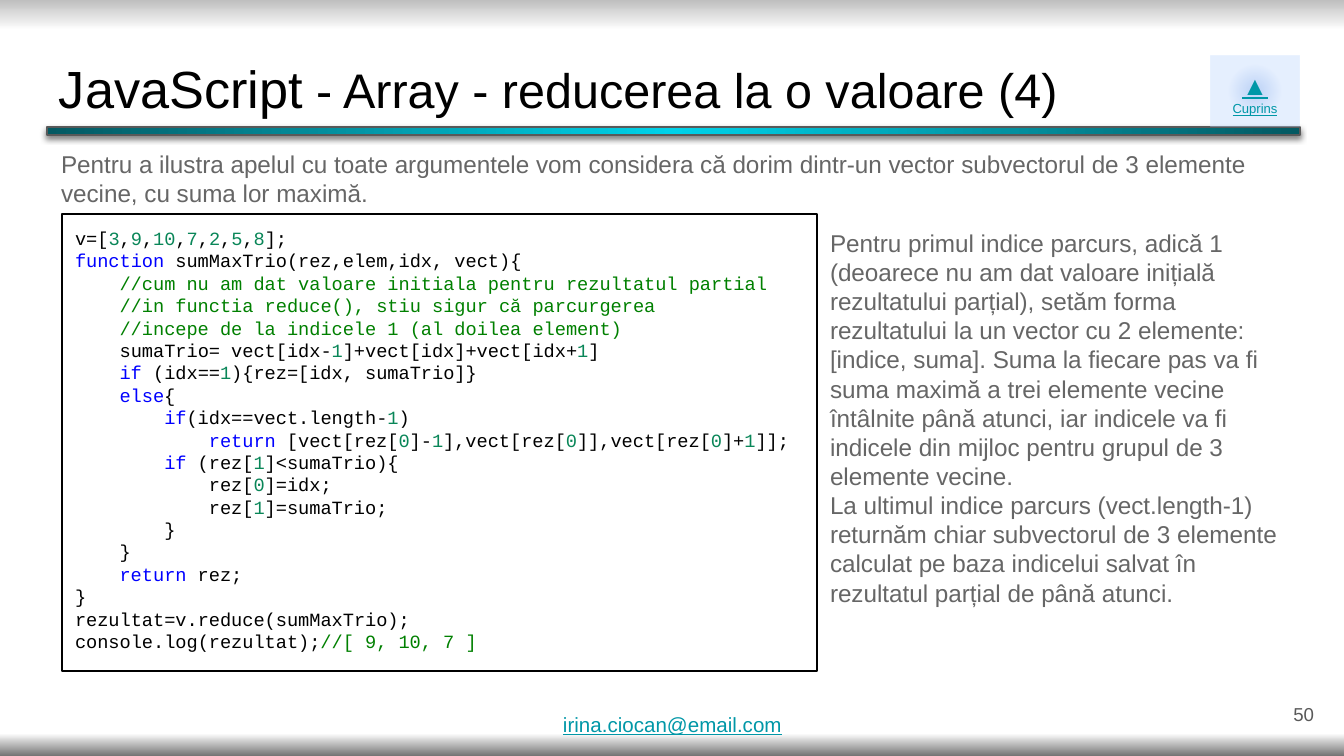
"""Builds the slide on reducing a JavaScript array to a single value."""
import itertools

import lxml.etree
import pptx
import pptx.dml.color
import pptx.enum.shapes
import pptx.enum.text
import pptx.oxml
import pptx.oxml.ns
import pptx.util

TITLE = [("JavaScript", 28), (" - Array - reducerea la o valoare (4)", 26)]
INTRO = ["Pentru a ilustra apelul cu toate argumentele vom considera că dorim dintr-un vector "
         "subvectorul de 3 elemente vecine, cu suma lor maximă."]
CODE = """v=[3,9,10,7,2,5,8];
function sumMaxTrio(rez,elem,idx, vect){
    //cum nu am dat valoare initiala pentru rezultatul partial
    //in functia reduce(), stiu sigur că parcurgerea
    //incepe de la indicele 1 (al doilea element)
    sumaTrio= vect[idx-1]+vect[idx]+vect[idx+1]
    if (idx==1){rez=[idx, sumaTrio]}
    else{
        if(idx==vect.length-1)
            return [vect[rez[0]-1],vect[rez[0]],vect[rez[0]+1]];
        if (rez[1]<sumaTrio){
            rez[0]=idx;
            rez[1]=sumaTrio;
        }
    }
    return rez;
}
rezultat=v.reduce(sumMaxTrio);
console.log(rezultat);//[ 9, 10, 7 ]""".splitlines()
EXPLANATION = [
    "Pentru primul indice parcurs, adică 1 (deoarece nu am dat valoare inițială rezultatului "
    "parțial), setăm forma rezultatului la un vector cu 2 elemente: [indice, suma]. Suma la "
    "fiecare pas va fi suma maximă a trei elemente vecine întâlnite până atunci, iar indicele "
    "va fi indicele din mijloc pentru grupul de 3 elemente vecine.",
    "La ultimul indice parcurs (vect.length-1) returnăm chiar subvectorul de 3 elemente "
    "calculat pe baza indicelui salvat în rezultatul parțial de până atunci.",
]
CONTENTS_LINK = ["▲", "Cuprins"]
EMAIL = ["irina.ciocan@email.com"]
PAGE = ["50"]

BLACK, GREY, TEAL = "000000", "666666", "0097A7"
KEYWORD, NUMBER, COMMENT = "0000FF", "098658", "008000"
KEYWORDS = {"function", "if", "else", "return"}
BACKGROUND_STOPS = [(0, "BFBFBF", 100), (4, "FFFFFF", 100), (97, "FFFFFF", 100), (100, "737373", 100)]
RULE_STOPS = [(0, "00D2E9", 100), (100, "045962", 100)]
BUTTON_STOPS = [(0, "BCD6FF", 37), (0, "4A86E8", 37), (48, "BCD6FF", 37), (100, "BCD6FF", 37)]
LINEAR = '<a:lin ang="5400000" scaled="0"/>'
RADIAL = '<a:path path="circle"><a:fillToRect l="50000" t="50000" r="50000" b="50000"/></a:path>'
NS = pptx.oxml.ns.nsdecls("a")
ALIGN = pptx.enum.text.PP_ALIGN
ANCHOR = pptx.enum.text.MSO_ANCHOR


def px(length):
    return round(length * 914400 / 134.4)


def color(hex_string):
    return pptx.dml.color.RGBColor.from_string(hex_string)


def set_gradient(fill, properties, stops, direction):
    fill.gradient()
    stop_xml = "".join(
        f'<a:gs pos="{pos * 1000}"><a:srgbClr val="{tone}"><a:alpha val="{alpha * 1000}"/></a:srgbClr></a:gs>'
        for pos, tone, alpha in stops)
    properties.replace(
        properties.find(pptx.oxml.ns.qn("a:gradFill")),
        pptx.oxml.parse_xml(f'<a:gradFill {NS} rotWithShape="1"><a:gsLst>{stop_xml}</a:gsLst>{direction}</a:gradFill>'))


def place(shape, left, top, width, height):
    shape.left, shape.top, shape.width, shape.height = map(px, (left, top, width, height))


def prepare(shape, anchor=ANCHOR.TOP, inset=13):
    frame = shape.text_frame
    frame.word_wrap = True
    frame.auto_size = pptx.enum.text.MSO_AUTO_SIZE.NONE
    frame.vertical_anchor = anchor
    frame.margin_left = frame.margin_right = px(13)
    frame.margin_top = frame.margin_bottom = px(inset)
    return frame


def style(paragraph, size, tone, font="Arial", align=ALIGN.LEFT, underline=None):
    paragraph.alignment = align
    paragraph.space_before = paragraph.space_after = pptx.util.Pt(0)
    paragraph.font.name = font
    paragraph.font.size = pptx.util.Pt(size)
    paragraph.font.underline = underline
    if tone:
        paragraph.font.color.rgb = color(tone)


def write(frame, texts, sizes, tone, **options):
    frame.text = "\n".join(texts)
    for paragraph, size in zip(frame.paragraphs, itertools.cycle(sizes)):
        style(paragraph, size, tone, **options)


def token_color(token):
    return KEYWORD if token in KEYWORDS else NUMBER if token.isdigit() else BLACK


def highlight(line):
    code, slashes, remark = line.partition("//")
    tokens = ["".join(chars) for _, chars in itertools.groupby(code, str.isalnum)]
    for tone, group in itertools.groupby(tokens, token_color):
        yield "".join(group), tone
    if slashes:
        yield slashes + remark, COMMENT


def add_rectangle(shapes, *box):
    shape = shapes.add_shape(pptx.enum.shapes.MSO_SHAPE.RECTANGLE, *map(px, box))
    shape.shadow.inherit = False
    return shape


def add_note(shapes, box, texts, size, tone, anchor=ANCHOR.TOP, inset=13, **options):
    note = shapes.add_textbox(*map(px, box))
    write(prepare(note, anchor, inset), texts, [size], tone, **options)


def main():
    deck = pptx.Presentation()
    deck.slide_width, deck.slide_height = px(1344), px(756)
    slide = deck.slides.add_slide(deck.slide_layouts[1])
    shapes = slide.shapes
    background = slide.background.fill
    background.gradient()
    set_gradient(background, slide.element.cSld.bg.bgPr, BACKGROUND_STOPS, LINEAR)

    title = shapes.title
    place(title, 46, 43, 1253, 85)
    heading = prepare(title).paragraphs[0]
    for text, size in TITLE:
        run = heading.add_run()
        run.text = text
        run.font.size = pptx.util.Pt(size)
    style(heading, TITLE[0][1], BLACK)

    rule = add_rectangle(shapes, 47, 127, 1253, 8)
    set_gradient(rule.fill, rule.element.spPr, RULE_STOPS, RADIAL)
    rule.line.color.rgb = color("595959")
    rule.line.width = pptx.util.Pt(0.75)
    effects = rule.element.spPr.find(pptx.oxml.ns.qn("a:effectLst"))
    effects.append(lxml.etree.fromstring(
        f'<a:outerShdw {NS} blurRad="43180" dist="19050" dir="5400000" algn="bl" rotWithShape="0">'
        '<a:srgbClr val="000000"><a:alpha val="50000"/></a:srgbClr></a:outerShdw>'))

    button = add_rectangle(shapes, 1211, 56, 88, 71)
    set_gradient(button.fill, button.element.spPr, BUTTON_STOPS, RADIAL)
    button.line.fill.background()
    write(prepare(button), CONTENTS_LINK, [14, 7], TEAL, align=ALIGN.CENTER, underline=True)

    intro = slide.placeholders[1]
    place(intro, 48, 136, 1253, 71)
    write(prepare(intro), INTRO, [13], GREY)
    intro_properties = intro.text_frame.paragraphs[0]._p.get_or_add_pPr()
    intro_properties.set("marL", "0")
    intro_properties.set("indent", "0")
    intro_properties.insert_element_before(pptx.oxml.parse_xml(f"<a:buNone {NS}/>"), "a:tabLst", "a:defRPr")

    listing = add_rectangle(shapes, 62, 214, 755, 457)
    listing.fill.background()
    listing.line.color.rgb = color(BLACK)
    listing.line.width = pptx.util.Pt(0.75)
    frame = prepare(listing)
    write(frame, [""] * len(CODE), [10], None, font="Courier New")
    for paragraph, line in zip(frame.paragraphs, CODE):
        paragraph.line_spacing = pptx.util.Pt(12)
        for text, tone in highlight(line):
            run = paragraph.add_run()
            run.text = text
            run.font.color.rgb = color(tone)

    add_note(shapes, (817, 215, 484, 457), EXPLANATION, 13, GREY)
    add_note(shapes, (550, 712, 247, 36), EMAIL, 11, TEAL, inset=0, underline=True)
    add_note(shapes, (1246, 685, 81, 58), PAGE, 10, "595959", ANCHOR.MIDDLE, align=ALIGN.RIGHT)
    deck.save("out.pptx")


if __name__ == "__main__":
    main()
